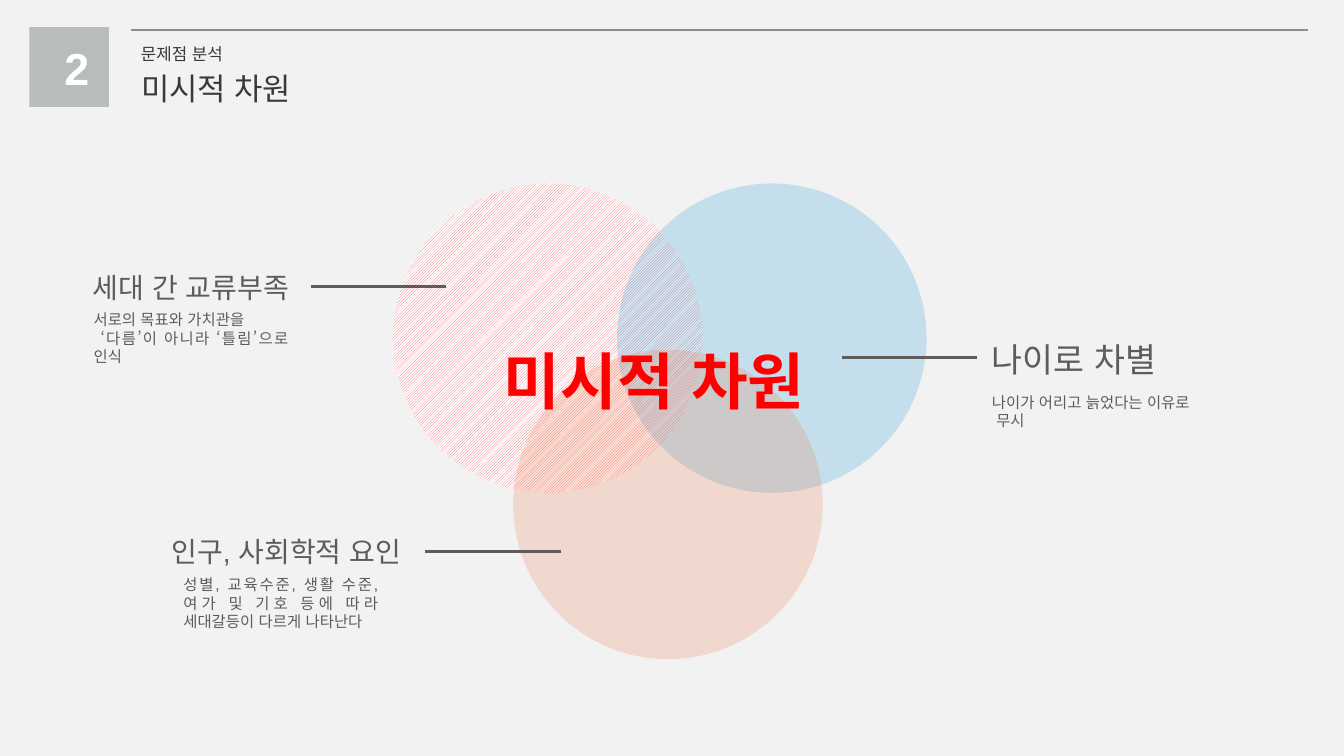
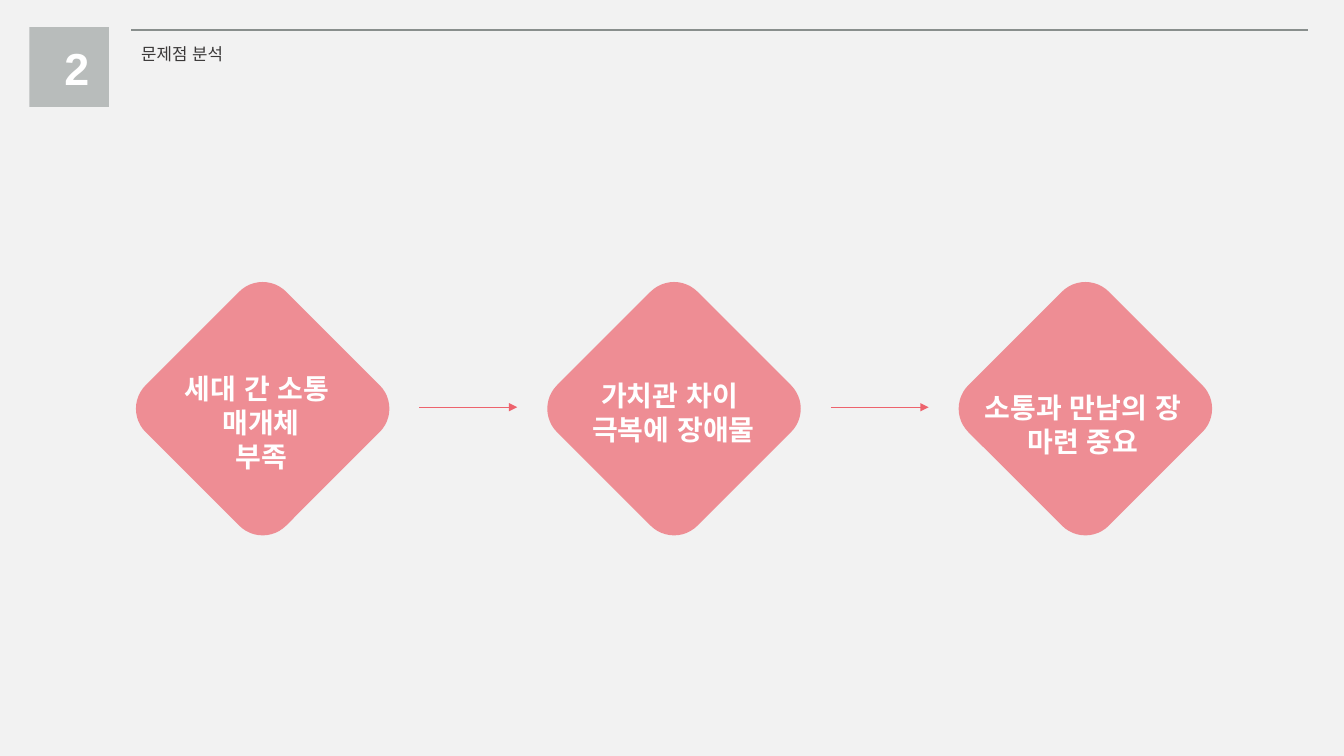
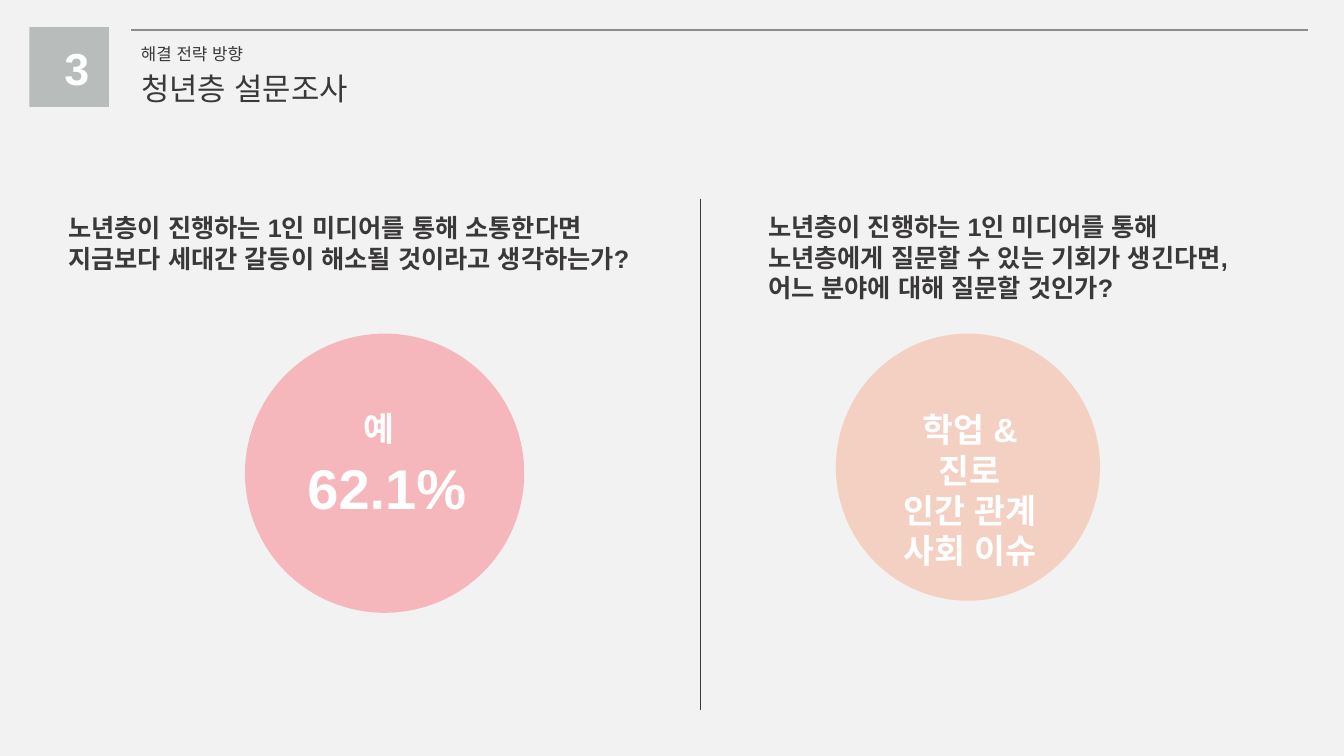
from dataclasses import dataclass
from typing import Optional

from lxml.etree import SubElement
from pptx import Presentation
from pptx.dml.color import RGBColor
from pptx.enum.dml import MSO_PATTERN
from pptx.enum.lang import MSO_LANGUAGE_ID
from pptx.enum.shapes import MSO_CONNECTOR, MSO_SHAPE
from pptx.enum.text import MSO_ANCHOR, MSO_AUTO_SIZE, PP_ALIGN
from pptx.oxml.ns import qn
from pptx.util import Inches, Pt

BACKDROP = RGBColor(0xF2, 0xF2, 0xF2)
RULE = RGBColor(0x89, 0x8F, 0x8D)
BADGE = RGBColor(0xB8, 0xBC, 0xBB)
INK = RGBColor(0x3A, 0x38, 0x38)
SOFT_INK = RGBColor(0x5D, 0x5B, 0x5B)
WHITE = RGBColor(0xFF, 0xFF, 0xFF)
RED = RGBColor(0xFF, 0x00, 0x00)
CORAL = RGBColor(0xED, 0x63, 0x6D)
BLUE = RGBColor(0x10, 0x97, 0xD0)
ORANGE = RGBColor(0xF1, 0x74, 0x42)
PINK = RGBColor(0xFA, 0x7D, 0x87)
PEACH = RGBColor(0xF5, 0x9E, 0x7B)

LATIN = "Arial"
HANGUL = "Noto Sans CJK KR"


@dataclass(frozen=True)
class Box:
    left: float
    top: float
    width: float
    height: float

    def lengths(self) -> tuple:
        return tuple(Inches(v) for v in (self.left, self.top, self.width, self.height))


@dataclass(frozen=True)
class Factor:
    heading: str
    heading_box: Box
    heading_size: int
    detail: tuple[str, ...]
    detail_box: Box
    line_left: float
    line_top: float


@dataclass(frozen=True)
class Step:
    lines: tuple[str, ...]
    box: Box


FACTORS = (
    Factor("나이로 차별", Box(9.74, 3.31, 1.98, 0.5), 24,
           ("나이가 어리고 늙었다는 이유로", " 무시"), Box(9.74, 3.85, 2.58, 0.47), 8.35, 3.55),
    Factor("세대 간 교류부족", Box(0.82, 2.63, 2.32, 0.44), 20,
           ("서로의 목표와 가치관을", " ‘다름’이 아니라 ‘틀림’으로 인식"),
           Box(0.83, 3.03, 2.13, 0.66), 3.08, 2.84),
    Factor("인구, 사회학적 요인", Box(1.6, 5.25, 2.68, 0.44), 20,
           ("성별, 교육수준, 생활 수준, 여가 및 기호 등에 따라 세대갈등이 다르게 나타난다",),
           Box(1.72, 5.66, 2.13, 0.66), 4.22, 5.47),
)
STEPS = (
    Step(("세대 간 소통 ", "매개체", "부족"), Box(1.64, 3.64, 1.9, 1.11)),
    Step(("가치관 차이 ", "극복에 장애물"), Box(5.69, 3.71, 1.98, 0.77)),
    Step(("소통과 만남의 장", "마련 중요"), Box(9.56, 3.83, 2.36, 0.77)),
)
CONNECTOR_WIDTH = 1.34
STEP_PITCH = 4.08
ARROW_WIDTH = 0.97


def write(frame, lines: tuple[str, ...], *, size: float, color: RGBColor, bold: bool = False,
          font: str = LATIN, align: PP_ALIGN = PP_ALIGN.LEFT, wrap: bool = False) -> None:
    frame.word_wrap = wrap
    frame.auto_size = MSO_AUTO_SIZE.SHAPE_TO_FIT_TEXT
    frame.vertical_anchor = MSO_ANCHOR.TOP
    for index, line in enumerate(lines):
        paragraph = frame.add_paragraph() if index else frame.paragraphs[0]
        paragraph.alignment = align
        run = paragraph.add_run()
        run.text = line
        run.font.size = Pt(size)
        run.font.bold = bold
        run.font.color.rgb = color
        run.font.name = font
        run.font.language_id = MSO_LANGUAGE_ID.KOREAN
        SubElement(run.font._element, qn("a:ea"), typeface=HANGUL)


def add_text(slide, box: Box, *lines: str, **style) -> None:
    write(slide.shapes.add_textbox(*box.lengths()).text_frame, lines, **style)


def add_line(slide, start: tuple[float, float], end: tuple[float, float], color: RGBColor,
             weight: float, arrow: bool = False) -> None:
    line = slide.shapes.add_connector(
        MSO_CONNECTOR.STRAIGHT, *(Inches(v) for v in (*start, *end)))
    line.line.color.rgb = color
    line.line.width = Pt(weight)
    if arrow:
        SubElement(line.line._get_or_add_ln(), qn("a:tailEnd"), type="triangle")
    SubElement(line._element.spPr, qn("a:effectLst"))


def add_figure(slide, kind: MSO_SHAPE, box: Box, color: RGBColor, opacity: int = 100,
               hatched: bool = False, rotation: float = 0) -> None:
    figure = slide.shapes.add_shape(kind, *box.lengths())
    figure.shadow.inherit = False
    figure.line.fill.background()
    figure.rotation = rotation
    if hatched:
        figure.fill.patterned()
        figure.fill.pattern = MSO_PATTERN.DARK_UPWARD_DIAGONAL
        figure.fill.fore_color.rgb = color
        figure.fill.back_color.rgb = WHITE
        return
    figure.fill.solid()
    figure.fill.fore_color.rgb = color
    if opacity < 100:
        tint = figure._element.spPr.find(qn("a:solidFill")).find(qn("a:srgbClr"))
        SubElement(tint, qn("a:alpha"), val=str(opacity * 1000))


def start_slide(deck, number: str, section: str, heading: Optional[str] = None):
    slide = deck.slides.add_slide(deck.slide_layouts[5])
    add_line(slide, (1.3, 0.3), (12.97, 0.3), RULE, 1.5)
    add_figure(slide, MSO_SHAPE.RECTANGLE, Box(0.29, 0.27, 0.79, 0.79), BADGE)
    add_text(slide, Box(0.54, 0.35, 0.5, 0.64), number, size=32, color=WHITE, bold=True, wrap=True)
    section_box = Box(1.3, 0.38, 4, 0.3)
    title = slide.shapes.title
    title_box = Box(1.3, 0.64, 6, 0.47) if heading else section_box
    title.left, title.top, title.width, title.height = title_box.lengths()
    write(title.text_frame, (heading or section,), size=22 if heading else 12, color=INK, wrap=True)
    if heading:
        add_text(slide, section_box, section, size=12, color=INK, wrap=True)
    return slide


def build_micro_level(deck) -> None:
    slide = start_slide(deck, "2", "문제점 분석", "미시적 차원")
    diameter = 3.07
    add_figure(slide, MSO_SHAPE.OVAL, Box(3.9, 1.82, diameter, diameter), CORAL, hatched=True)
    add_figure(slide, MSO_SHAPE.OVAL, Box(6.12, 1.82, diameter, diameter), BLUE, 20)
    add_figure(slide, MSO_SHAPE.OVAL, Box(5.09, 3.47, diameter, diameter), ORANGE, 20)
    for factor in FACTORS:
        add_text(slide, factor.heading_box, factor.heading, size=factor.heading_size, color=SOFT_INK)
        add_text(slide, factor.detail_box, *factor.detail, size=11, color=SOFT_INK,
                 align=PP_ALIGN.JUSTIFY, wrap=True)
        add_line(slide, (factor.line_left, factor.line_top),
                 (factor.line_left + CONNECTOR_WIDTH, factor.line_top), SOFT_INK, 2.25)
    add_text(slide, Box(4.9, 3.35, 3.46, 0.84), "미시적 차원", size=44, color=RED, bold=True)


def build_problem_flow(deck) -> None:
    slide = start_slide(deck, "2", "문제점 분석")
    for index, step in enumerate(STEPS):
        offset = index * STEP_PITCH
        add_figure(slide, MSO_SHAPE.ROUNDED_RECTANGLE, Box(1.62 + offset, 3.07, 1.97, 1.97),
                   CORAL, 70, rotation=45)
        add_text(slide, step.box, *step.lines, size=20, color=WHITE, bold=True, font=HANGUL,
                 align=PP_ALIGN.CENTER)
        if index < len(STEPS) - 1:
            arrow_left = 4.16 + offset
            add_line(slide, (arrow_left, 4.04), (arrow_left + ARROW_WIDTH, 4.04), CORAL, 0.5,
                     arrow=True)


def build_survey(deck) -> None:
    slide = start_slide(deck, "3", "해결 전략 방향", "청년층 설문조사")
    add_text(slide, Box(0.58, 2.06, 6.33, 0.71),
             "노년층이 진행하는 1인 미디어를 통해 소통한다면",
             "지금보다 세대간 갈등이 해소될 것이라고 생각하는가?",
             size=18, color=INK, bold=True)
    add_figure(slide, MSO_SHAPE.OVAL, Box(2.43, 3.31, 2.77, 2.77), PINK, 50)
    add_text(slide, Box(2.95, 4.45, 1.79, 0.77), "62.1%", size=40, color=WHITE, bold=True)
    add_text(slide, Box(3.51, 4, 0.54, 0.5), "예", size=24, color=WHITE, bold=True)
    add_text(slide, Box(7.52, 2.05, 5.8, 1.01),
             "노년층이 진행하는 1인 미디어를 통해",
             "노년층에게 질문할 수 있는 기회가 생긴다면,",
             "어느 분야에 대해 질문할 것인가?",
             size=18, color=INK, bold=True, wrap=True)
    add_figure(slide, MSO_SHAPE.OVAL, Box(8.29, 3.31, 2.62, 2.65), PEACH, 40)
    add_text(slide, Box(8.82, 4.01, 1.6, 1.71), "학업 & 진로", "인간 관계", "사회 이슈",
             size=24, color=WHITE, bold=True, align=PP_ALIGN.CENTER, wrap=True)
    add_line(slide, (6.95, 1.97), (6.95, 7.04), INK, 0.5)


def main() -> None:
    deck = Presentation()
    deck.slide_width = Inches(13.33)
    deck.slide_height = Inches(7.5)
    backdrop = deck.slide_master.background.fill
    backdrop.solid()
    backdrop.fore_color.rgb = BACKDROP
    build_micro_level(deck)
    build_problem_flow(deck)
    build_survey(deck)
    deck.save("out.pptx")


if __name__ == "__main__":
    main()
